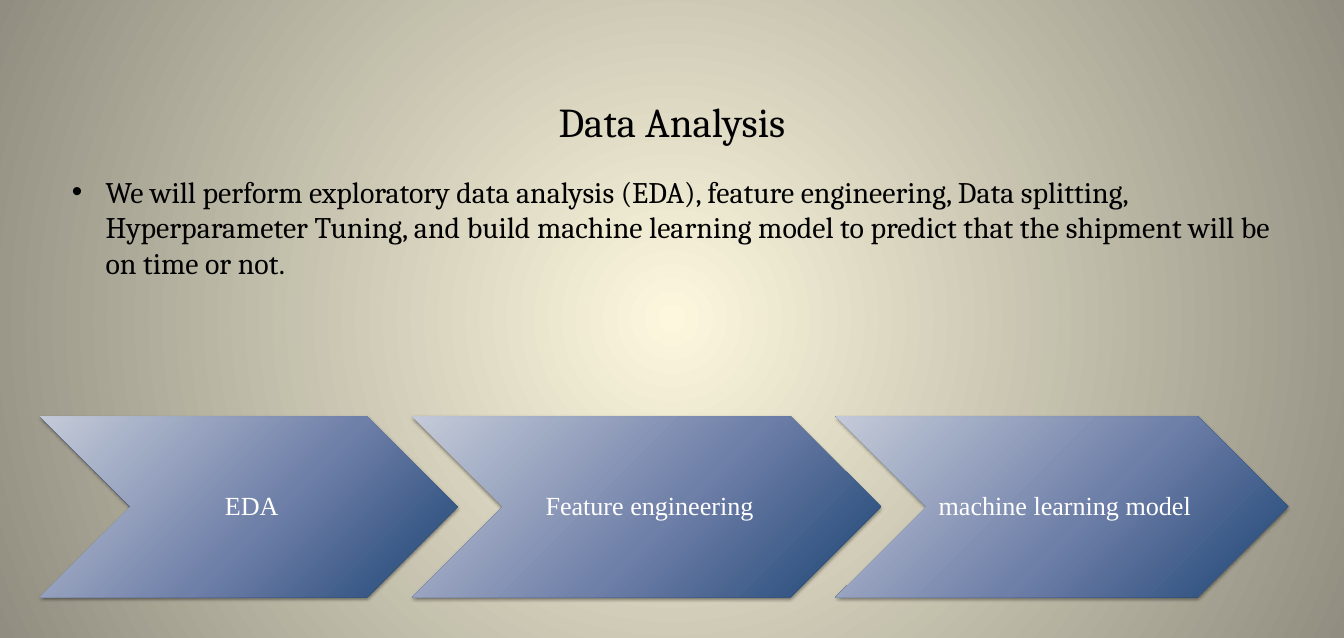
"""Build the Data Analysis slide with its three-step chevron process."""
from lxml.etree import SubElement
from pptx import Presentation
from pptx.dml.color import RGBColor
from pptx.enum.shapes import MSO_SHAPE
from pptx.enum.text import MSO_ANCHOR, MSO_AUTO_SIZE, PP_ALIGN
from pptx.oxml.ns import qn
from pptx.util import Inches, Pt

TITLE = "Data Analysis"
BODY = (
    "We will perform exploratory data analysis (EDA), feature engineering, "
    "Data splitting, Hyperparameter Tuning, and build machine learning model "
    "to predict that the shipment will be on time or not."
)
STEPS = [
    ("EDA", 0.6, 6.21),
    ("Feature engineering", 6.14, 6.97),
    ("machine learning model", 12.44, 6.73),
]
STEP_TOP, STEP_HEIGHT = 6.2, 2.69
BACKGROUND = [(0, "FCF7DD"), (100, "918E81")]
STEP_FILL = [(0, "C4CAD8"), (55, "6E7FA8"), (100, "1D4474")]


def color(value):
    return RGBColor.from_string(value)


def add_node(parent, tag, **attributes):
    values = {name: str(value) for name, value in attributes.items()}
    return SubElement(parent, qn(tag), values)


def set_radial_gradient(owner, fill, stops, focus):
    fill.gradient()
    gradient = owner.element.find(".//" + qn("a:gradFill"))
    for child in list(gradient):
        gradient.remove(child)
    stop_list = add_node(gradient, "a:gsLst")
    for position, value in stops:
        stop = add_node(stop_list, "a:gs", pos=position * 1000)
        add_node(stop, "a:srgbClr", val=str(color(value)))
    circle = add_node(gradient, "a:path", path="circle")
    edges = {edge: percent * 1000 for edge, percent in zip("ltrb", focus)}
    add_node(circle, "a:fillToRect", **edges)


def set_shadow(shape):
    shape.shadow.inherit = False
    effects = shape.element.spPr.find(qn("a:effectLst"))
    shadow = add_node(effects, "a:outerShdw", blurRad=Pt(4), dist=Pt(2),
                      dir=90 * 60000, algn="ctr", rotWithShape=0)
    shadow_color = add_node(shadow, "a:srgbClr", val="000000")
    add_node(shadow_color, "a:alpha", val=45000)


def place(shape, left, top, width, height):
    shape.left, shape.top = Inches(left), Inches(top)
    shape.width, shape.height = Inches(width), Inches(height)


def write_text(shape, text, *, size, font, fill, align=PP_ALIGN.LEFT,
               anchor=MSO_ANCHOR.TOP, line_spacing=1.0,
               insets=(0.1, 0.05, 0.1, 0.05)):
    frame = shape.text_frame
    frame.word_wrap = True
    frame.auto_size = MSO_AUTO_SIZE.NONE
    frame.vertical_anchor = anchor
    (frame.margin_left, frame.margin_top,
     frame.margin_right, frame.margin_bottom) = map(Inches, insets)
    paragraph = frame.paragraphs[0]
    paragraph.alignment = align
    paragraph.line_spacing = line_spacing
    paragraph.space_before = Pt(0)
    run = paragraph.add_run()
    run.text = text
    run.font.size, run.font.name = Pt(size), font
    run.font.color.rgb = color(fill)
    return paragraph


def set_bullet(paragraph, indent):
    properties = paragraph._p.get_or_add_pPr()
    properties.set("marL", str(Inches(indent)))
    properties.set("indent", str(Inches(-indent)))
    add_node(properties, "a:buFont", typeface="Arial")
    add_node(properties, "a:buChar", char="•")


def add_step(group, label, left, width):
    chevron = group.shapes.add_shape(
        MSO_SHAPE.CHEVRON, Inches(left), Inches(STEP_TOP),
        Inches(width), Inches(STEP_HEIGHT))
    set_radial_gradient(chevron, chevron.fill, STEP_FILL, (-40, -90, 140, 190))
    chevron.line.fill.background()
    set_shadow(chevron)
    tip = STEP_HEIGHT / 2
    label_box = group.shapes.add_textbox(
        Inches(left + tip), Inches(STEP_TOP),
        Inches(width - 2 * tip), Inches(STEP_HEIGHT))
    write_text(label_box, label, size=28, font="Times New Roman", fill="FFFFFF",
               align=PP_ALIGN.CENTER, anchor=MSO_ANCHOR.MIDDLE,
               line_spacing=0.9, insets=(0.12, 0.04, 0.04, 0.04))


def main():
    presentation = Presentation()
    presentation.slide_width = Inches(20)
    presentation.slide_height = Inches(9.5)
    slide = presentation.slides.add_slide(presentation.slide_layouts[1])
    set_radial_gradient(slide, slide.background.fill, BACKGROUND, (50,) * 4)

    title, body = slide.placeholders
    place(title, 1, 1.27, 18, 1.06)
    write_text(title, TITLE, size=44, font="Cambria", fill="000000",
               align=PP_ALIGN.CENTER, anchor=MSO_ANCHOR.MIDDLE)
    place(body, 0.97, 2.53, 18.2, 1.72)
    paragraph = write_text(body, BODY, size=32, font="Cambria", fill="000000")
    set_bullet(paragraph, 0.5)

    process = slide.shapes.add_group_shape()
    for label, left, width in STEPS:
        add_step(process, label, left, width)
    presentation.save("out.pptx")


if __name__ == "__main__":
    main()
